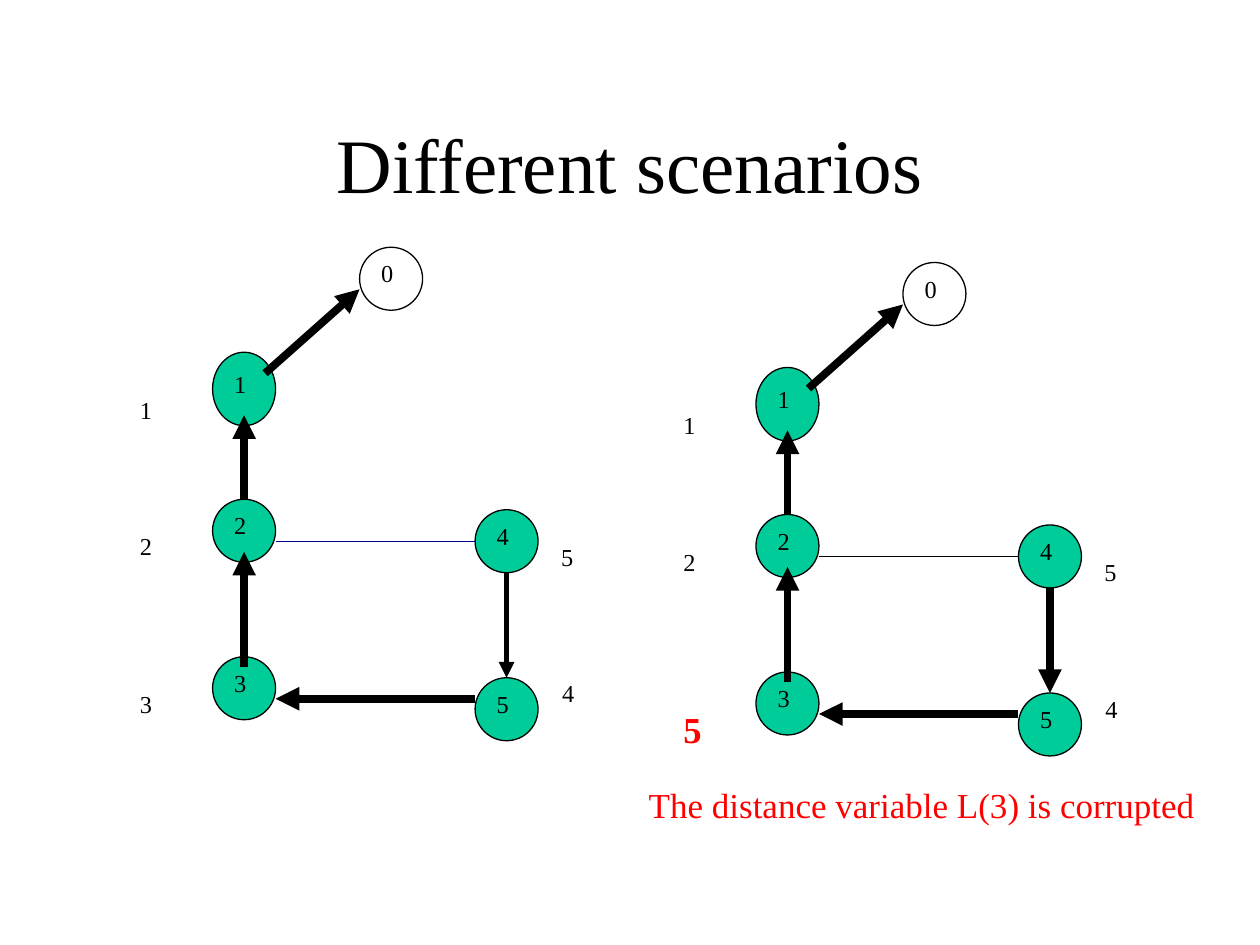
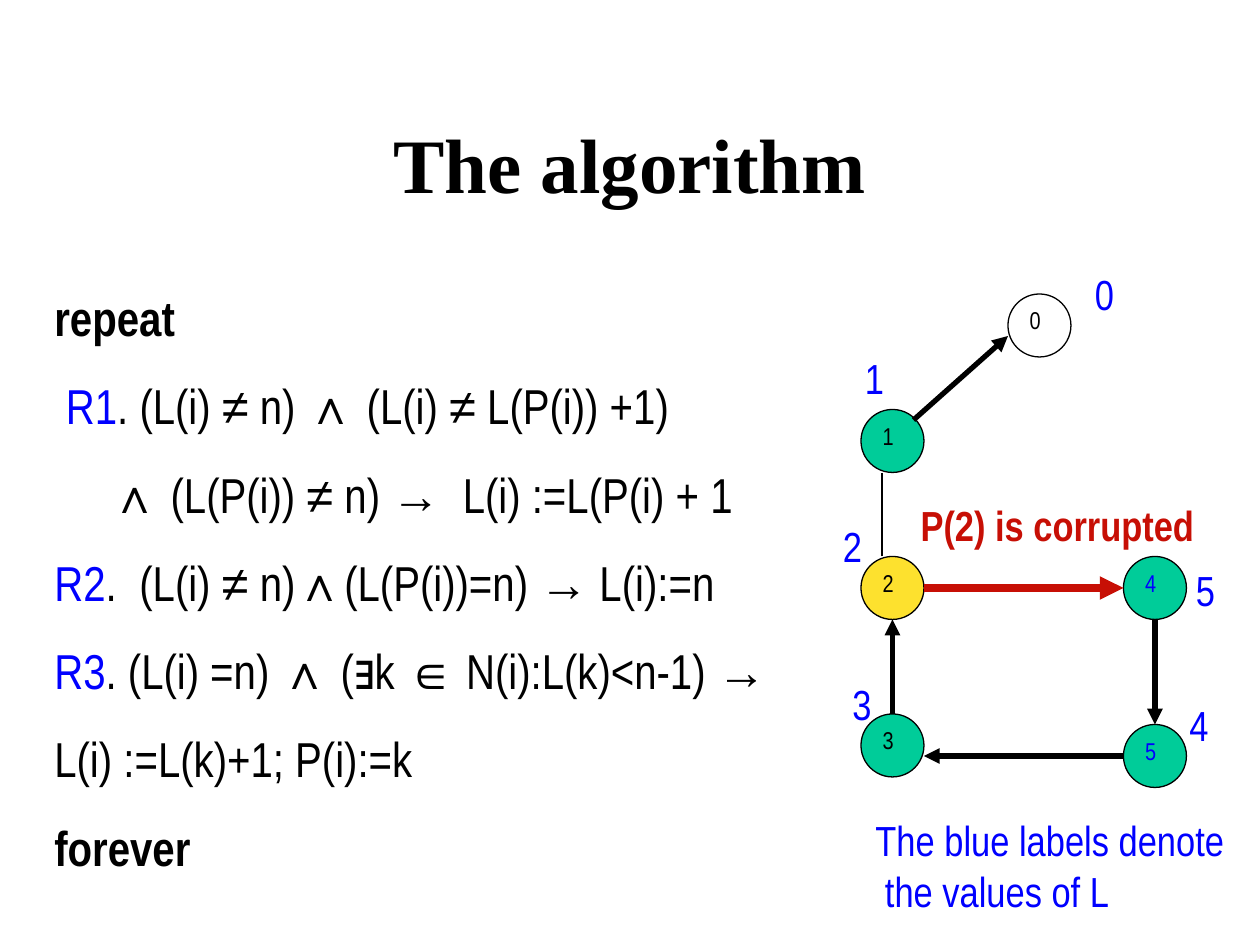
from dataclasses import dataclass, replace
from typing import NamedTuple

from lxml.etree import SubElement
from pptx import Presentation
from pptx.dml.color import RGBColor as Rgb
from pptx.enum.shapes import MSO_CONNECTOR as Link, MSO_SHAPE as Form
from pptx.enum.text import MSO_ANCHOR as Anchor, MSO_AUTO_SIZE as Fit, PP_ALIGN as Align
from pptx.oxml.ns import qn
from pptx.slide import Slide
from pptx.util import Inches, Pt

COLS, ROWS = 120, 90
WIDE, HIGH = Inches(10), Inches(7.5)


@dataclass(frozen=True)
class Theme:
    black: str = "000000"
    white: str = "FFFFFF"
    green: str = "00CC99"
    yellow: str = "FDE12E"
    blue: str = "0000FF"
    navy: str = "000090"
    red: str = "FF0000"
    brick: str = "C70F05"
    serif: str = "Times New Roman"
    narrow: str = "Arial Narrow"
    sans: str = "Arial"
    title: int = 44
    alert: int = 36
    body: int = 28
    label: int = 24
    note: int = 20
    thin: float = 0.75
    mid: float = 3
    thick: float = 4.5


T = Theme()


@dataclass(frozen=True)
class Style:
    size: int
    font: str
    color: str = T.black
    bold: bool = False
    raised: bool = False
    gap: float = 0


class Run(NamedTuple):
    text: str
    style: Style


class Para(NamedTuple):
    runs: list[Run]
    indent: float = 0


class Box(NamedTuple):
    col: float
    row: float
    wide: float
    high: float


class Node(NamedTuple):
    name: str
    col: float
    row: float
    style: Style
    fill: str = T.green
    high: float = 6


class Edge(NamedTuple):
    start: tuple[float, float]
    end: tuple[float, float]
    width: float = T.thick
    color: str = T.black
    arrow: bool = True


class Label(NamedTuple):
    text: str
    col: float
    row: float
    style: Style
    wide: float = 3.5
    high: float = 6


@dataclass(frozen=True)
class Graph:
    nodes: list[Node]
    edges: list[Edge]
    labels: list[Label]
    dx: float = 0
    dy: float = 0


def across(col: float) -> int:
    return round(WIDE * col / COLS)


def down(row: float) -> int:
    return round(HIGH * row / ROWS)


def place(box: Box) -> tuple[int, int, int, int]:
    return across(box.col), down(box.row), across(box.wide), down(box.high)


def write(frame, paras: list[Para], align=Align.LEFT, space: float = 1) -> None:
    for i, para in enumerate(paras):
        line = frame.add_paragraph() if i else frame.paragraphs[0]
        line.alignment = align
        line.line_spacing = space
        if para.indent:
            line._p.get_or_add_pPr().set("indent", str(across(para.indent)))
        for text, style in para.runs:
            run = line.add_run()
            run.text = text
            font = run.font
            font.size, font.name, font.bold = Pt(style.size), style.font, style.bold
            font.color.rgb = Rgb.from_string(style.color)
            props = run._r.get_or_add_rPr()
            if style.raised:
                props.set("baseline", "30000")
            if style.gap:
                props.set("spc", str(round(style.gap * 100)))


def add_text(slide: Slide, box: Box, paras: list[Para], wrap: bool = False,
             space: float = 1) -> None:
    frame = slide.shapes.add_textbox(*place(box)).text_frame
    frame.word_wrap = wrap
    frame.auto_size = Fit.SHAPE_TO_FIT_TEXT
    write(frame, paras, space=space)


def add_title(slide: Slide, text: str, bold: bool = False) -> None:
    frame = slide.shapes.add_textbox(*place(Box(9, 8, 102, 15))).text_frame
    frame.word_wrap = True
    frame.vertical_anchor = Anchor.MIDDLE
    write(frame, [Para([Run(text, Style(T.title, T.serif, bold=bold))])], Align.CENTER)


def add_node(slide: Slide, node: Node, dx: float, dy: float) -> None:
    box = Box(node.col + dx, node.row + dy, 6, node.high)
    shape = slide.shapes.add_shape(Form.OVAL, *place(box))
    shape.shadow.inherit = False
    shape.fill.solid()
    shape.fill.fore_color.rgb = Rgb.from_string(node.fill)
    shape.line.color.rgb = Rgb.from_string(T.black)
    shape.line.width = Pt(T.thin)
    shape.text_frame.word_wrap = False
    shape.text_frame.vertical_anchor = Anchor.MIDDLE
    write(shape.text_frame, [Para([Run(node.name, node.style)])])


def add_edge(slide: Slide, edge: Edge, dx: float, dy: float) -> None:
    ends = [f(v) for x, y in (edge.start, edge.end)
            for f, v in ((across, x + dx), (down, y + dy))]
    link = slide.shapes.add_connector(Link.STRAIGHT, *ends)
    link.line.color.rgb = Rgb.from_string(edge.color)
    link.line.width = Pt(edge.width)
    if edge.arrow:
        SubElement(link.line._get_or_add_ln(), qn("a:tailEnd"), type="triangle")
    SubElement(link._element.spPr, qn("a:effectLst"))


def draw(slide: Slide, graph: Graph) -> None:
    dx, dy = graph.dx, graph.dy
    for node in graph.nodes:
        add_node(slide, node, dx, dy)
    for edge in graph.edges:
        add_edge(slide, edge, dx, dy)
    for tag in graph.labels:
        box = Box(tag.col + dx, tag.row + dy, tag.wide, tag.high)
        add_text(slide, box, [Para([Run(tag.text, tag.style)])])


def show_cases(slide: Slide) -> None:
    add_title(slide, "Different scenarios")
    mark = Style(T.label, T.serif, raised=True)
    alert = Style(T.alert, T.serif, T.red, bold=True, raised=True)
    nodes = [
        Node("0", 86, 25, mark, T.white),
        Node("1", 72, 35, mark, high=7),
        Node("2", 72, 49, mark),
        Node("5", 97, 66, mark),
        Node("4", 97, 50, mark),
        Node("3", 72, 64, mark),
    ]
    tree = [
        Edge((75, 65), (75, 54)),
        Edge((75, 49), (75, 41)),
        Edge((77, 37), (86, 29)),
        Edge((97, 68), (78, 68)),
    ]
    drop = Edge((100, 56), (100, 66))
    cross = Edge((78, 53), (97, 53), T.thin, arrow=False)
    tags = [
        Label("1", 63.9, 38, mark),
        Label("2", 63.9, 51, mark),
        Label("4", 104.1, 65, mark),
        Label("5", 104, 52, mark),
    ]
    valid = Graph(
        nodes,
        tree + [drop._replace(width=T.mid), cross._replace(color=T.navy)],
        tags + [Label("3", 63.9, 66, mark)],
        dx=-51.75, dy=-1.45,
    )
    faulty = Graph(
        nodes, tree + [drop, cross],
        tags + [Label("5", 63.9, 66, alert, 4.1, 8.4)],
    )
    for graph in (valid, faulty):
        draw(slide, graph)
    note = Style(T.note, T.serif, T.red)
    add_text(slide, Box(60.6, 74, 56, 5.3),
             [Para([Run("The distance variable L(3) is corrupted", note)])], wrap=True)


def show_rules(slide: Slide) -> None:
    add_title(slide, "The algorithm", bold=True)
    plain = Style(T.body, T.narrow)
    strong = replace(plain, bold=True)
    rule = replace(plain, color=T.blue)
    arrow = Run("→", replace(plain, font=T.sans))
    gap = Run(" ", replace(plain, gap=6.5))
    add_text(slide, Box(4, 24, 73, 60), [
        Para([Run("repeat", strong)]),
        Para([Run("R1", rule), Run(". (L(i) ≠ n) ∧ (L(i) ≠ L(P(i)) +1)", plain)], 1.1),
        Para([Run("∧ (L(P(i)) ≠ n) ", plain), arrow, gap,
              Run("L(i) :=L(P(i) + 1", plain)], 5.35),
        Para([Run("R2", rule), Run(".", plain), gap,
              Run("(L(i) ≠ n)∧(L(P(i))=n) ", plain), arrow, Run(" L(i):=n", plain)]),
        Para([Run("R3", rule), Run(". (L(i) =n) ∧ (∃k ∈ N(i):L(k)<n-1) ", plain),
              arrow, Run(" L(i) :=L(k)+1; P(i):=k", plain)]),
        Para([Run("forever", strong)]),
    ], wrap=True, space=1.5)

    mark = Style(T.label, T.narrow, raised=True)
    far = replace(mark, color=T.blue)
    value = replace(far, raised=False)
    fault = replace(value, color=T.brick, bold=True)
    places = [("0", 103.1, 25), ("1", 81.2, 33), ("2", 79.1, 49),
              ("3", 80, 64), ("4", 112.1, 66), ("5", 112.7, 53.2)]
    draw(slide, Graph(
        [
            Node("0", 96, 28, mark, T.white),
            Node("1", 82, 39, mark),
            Node("2", 82, 53, mark, T.yellow),
            Node("5", 107, 69, far),
            Node("4", 107, 53, far),
            Node("3", 82, 68, mark),
        ],
        [
            Edge((85, 68), (85, 59), T.mid),
            Edge((87, 40), (96, 32), T.mid),
            Edge((107, 72), (88, 72), T.mid),
            Edge((110, 59), (110, 69), T.mid),
            Edge((88, 56), (107, 56), color=T.brick),
            Edge((84, 53), (84, 45), T.thin, arrow=False),
        ],
        [Label(text, col, row, value, 4.2) for text, col, row in places],
    ))
    add_text(slide, Box(86.5, 47, 31, 6),
             [Para([Run("P(2) is corrupted", fault)])], wrap=True)
    add_text(slide, Box(82.2, 77, 37.5, 10.8), [
        Para([Run("The blue labels denote", value)]),
        Para([Run("the values of L", value)], 0.9),
    ], wrap=True)


def main() -> None:
    deck = Presentation()
    deck.slide_width, deck.slide_height = WIDE, HIGH
    for show in (show_cases, show_rules):
        show(deck.slides.add_slide(deck.slide_layouts[6]))
    deck.save("out.pptx")


if __name__ == "__main__":
    main()
